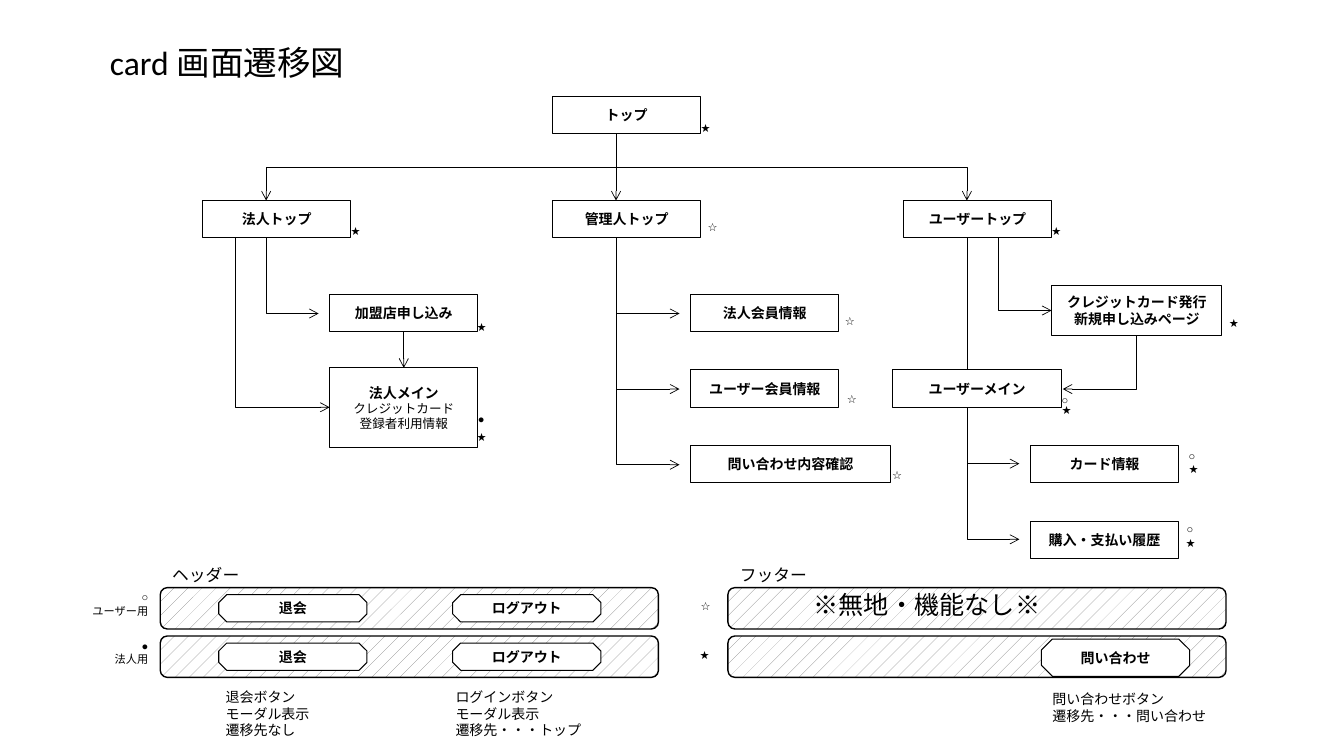
from dataclasses import dataclass

from lxml import etree
from pptx import Presentation
from pptx.dml.color import RGBColor
from pptx.enum.dml import MSO_PATTERN
from pptx.enum.shapes import MSO_CONNECTOR, MSO_SHAPE
from pptx.enum.text import MSO_ANCHOR, MSO_AUTO_SIZE, PP_ALIGN
from pptx.oxml.ns import qn
from pptx.util import Inches, Pt

RECTANGLE, OCTAGON, ROUNDED = MSO_SHAPE.RECTANGLE, MSO_SHAPE.OCTAGON, MSO_SHAPE.ROUNDED_RECTANGLE
STRAIGHT, ELBOW = MSO_CONNECTOR.STRAIGHT, MSO_CONNECTOR.ELBOW
LEFT, CENTER, RIGHT = PP_ALIGN.LEFT, PP_ALIGN.CENTER, PP_ALIGN.RIGHT
MIDDLE, TOP = MSO_ANCHOR.MIDDLE, MSO_ANCHOR.TOP
NO_AUTO_SIZE, GROW = MSO_AUTO_SIZE.NONE, MSO_AUTO_SIZE.SHAPE_TO_FIT_TEXT
DOTTED = MSO_PATTERN.PERCENT_5


@dataclass(frozen=True)
class Theme:
    """Colours, fonts, type sizes and line widths of the slide."""
    ink: RGBColor = RGBColor(0, 0, 0)
    paper: RGBColor = RGBColor(255, 255, 255)
    hatch: RGBColor = RGBColor(128, 128, 128)
    body_font: str = "Arial"
    title_font: str = "Calibri"
    notice_font: str = "Noto Sans CJK JP"
    title: float = 24
    notice: float = 18
    heading: float = 12
    label: float = 10
    detail: float = 9
    mark: float = 8
    box_line: float = 0.75
    bar_line: float = 1
    arrow_line: float = 0.5


THEME = Theme()
NODE_WIDTH, NODE_HEIGHT = 1.47, 0.37
ROW_STEP = 0.75
TRUNK = 0.63
BAR_WIDTH, BAR_HEIGHT, BAR_STEP = 4.94, 0.41, 0.48


def assign(target, values):
    """Set each named value on the target."""
    for name, value in values.items():
        setattr(target, name, value)


def write(frame, lines, size, alignment=LEFT, font=THEME.body_font, bold=False):
    """Fill a text frame with one paragraph per line."""
    for index, line in enumerate(lines):
        paragraph = frame.paragraphs[0] if index == 0 else frame.add_paragraph()
        paragraph.text = line
        paragraph.alignment = alignment
        assign(paragraph.font, {"size": Pt(size), "name": font, "bold": bold})
        paragraph.font.color.rgb = THEME.ink


def add_label(slide, left, top, width, height, lines, size, **style):
    """Add a wrapping text box."""
    shape = slide.shapes.add_textbox(*map(Inches, (left, top, width, height)))
    assign(shape.text_frame, {"word_wrap": True, "auto_size": GROW, "vertical_anchor": TOP})
    write(shape.text_frame, lines, size, **style)


def add_marks(slide, left, top, marks):
    """Add symbols at offsets from the corner of a region."""
    for symbol, across, down in marks:
        add_label(slide, left + across, top + down, 0.42, 0.24, [symbol], THEME.mark)


def add_outline(slide, preset, left, top, width, height, line_width):
    """Add a white shape with a black outline."""
    shape = slide.shapes.add_shape(preset, *map(Inches, (left, top, width, height)))
    shape.shadow.inherit = False
    shape.fill.solid()
    shape.fill.fore_color.rgb = THEME.paper
    shape.line.color.rgb = THEME.ink
    shape.line.width = Pt(line_width)
    return shape


def add_node(slide, left, top, *lines, width=NODE_WIDTH, height=NODE_HEIGHT, preset=RECTANGLE):
    """Add a screen or button box with a bold centred name."""
    shape = add_outline(slide, preset, left, top, width, height, THEME.box_line)
    assign(shape.text_frame, {"word_wrap": False, "vertical_anchor": MIDDLE})
    write(shape.text_frame, lines, THEME.label, CENTER, bold=True)
    return shape


def finish_arrow(connector):
    """Give a connector a thin black line, an open head and no shadow."""
    connector.line.color.rgb = THEME.ink
    connector.line.width = Pt(THEME.arrow_line)
    etree.SubElement(connector.line._get_or_add_ln(), qn("a:tailEnd"), type="arrow", w="med", len="med")
    etree.SubElement(connector._element.spPr, qn("a:effectLst"))


def add_straight(slide, start, end):
    """Add a straight arrow between two points."""
    connector = slide.shapes.add_connector(STRAIGHT, *map(Inches, (*start, *end)))
    finish_arrow(connector)
    return connector


def add_elbow(slide, start, end, preset="bentConnector2"):
    """Add a bent arrow that leaves its start downwards."""
    middle_x, middle_y = (start[0] + end[0]) / 2, (start[1] + end[1]) / 2
    half_x, half_y = (end[0] - start[0]) / 2, (end[1] - start[1]) / 2
    corners = (middle_x - half_y, middle_y + half_x, middle_x + half_y, middle_y - half_x)
    connector = slide.shapes.add_connector(ELBOW, *map(Inches, corners))
    properties = connector._element.spPr
    properties.find(qn("a:xfrm")).set("rot", "5400000")
    properties.find(qn("a:prstGeom")).set("prst", preset)
    finish_arrow(connector)


def add_title(slide, left, top, width, height):
    """Place and format the slide title."""
    title = slide.shapes.title
    assign(title, dict(zip(("left", "top", "width", "height"), map(Inches, (left, top, width, height)))))
    assign(title.text_frame, {"word_wrap": True, "auto_size": NO_AUTO_SIZE, "vertical_anchor": MIDDLE})
    write(title.text_frame, ["card 画面遷移図"], THEME.title, font=THEME.title_font)


def add_entry(slide, left, top, branch_lefts, branch_top):
    """Add the top screen and its arrows to the three branches."""
    add_node(slide, left, top, "トップ")
    start = (left + TRUNK, top + NODE_HEIGHT)
    for branch_left in branch_lefts:
        end = (branch_left + TRUNK, branch_top)
        if branch_left == left:
            add_straight(slide, start, end)
        else:
            add_elbow(slide, start, end, "bentConnector3")
    add_marks(slide, left, top, [("★", 1.37, 0.19)])


def add_corporate_branch(slide, left, top):
    """Add the screens for corporate members."""
    bottom = top + NODE_HEIGHT
    add_node(slide, left, top, "法人トップ")
    add_elbow(slide, (left + TRUNK, bottom), (left + 1.15, top + 1.12))
    add_elbow(slide, (left + 0.32, bottom), (left + 1.26, top + 2.05))
    application = add_node(slide, left + 1.26, top + 0.93, "加盟店申し込み")
    main = add_node(slide, left + 1.26, top + 1.66, "法人メイン", "クレジットカード", "登録者利用情報", height=0.79)
    for paragraph in main.text_frame.paragraphs[1:]:
        assign(paragraph.font, {"size": Pt(THEME.detail), "bold": False})
    arrow = add_straight(slide, (left + 2, top + 1.3), (left + 2, top + 1.66))
    arrow.begin_connect(application, 2)
    arrow.end_connect(main, 0)
    add_marks(slide, left, top, [("★", 1.37, 0.19), ("★", 2.62, 1.14), ("●", 2.63, 2.05), ("★", 2.62, 2.23)])


def add_admin_branch(slide, left, top):
    """Add the screens for administrators."""
    add_node(slide, left, top, "管理人トップ")
    screens = [("法人会員情報", NODE_WIDTH), ("ユーザー会員情報", NODE_WIDTH), ("問い合わせ内容確認", 1.98)]
    for row, (name, width) in enumerate(screens):
        drop = row * ROW_STEP
        add_elbow(slide, (left + TRUNK, top + NODE_HEIGHT), (left + 1.26, top + 1.12 + drop))
        add_node(slide, left + 1.37, top + 0.93 + drop, name, width=width)
    add_marks(slide, left, top, [("☆", 1.44, 0.15), ("☆", 2.8, 1.08), ("☆", 2.82, 1.85), ("☆", 3.27, 2.61)])


def add_user_branch(slide, left, top):
    """Add the screens for card users."""
    bottom = top + NODE_HEIGHT
    add_node(slide, left, top, "ユーザートップ")
    for row, name in enumerate(["カード情報", "購入・支払い履歴"]):
        drop = row * ROW_STEP
        add_elbow(slide, (left + TRUNK, bottom), (left + 1.15, top + 2.61 + drop))
        add_node(slide, left + 1.26, top + 2.43 + drop, name)
    add_elbow(slide, (left + 0.94, bottom), (left + 1.47, top + 1.09))
    add_node(slide, left + 1.47, top + 0.84, "クレジットカード発行", "新規申し込みページ", width=1.69, height=0.5)
    add_node(slide, left - 0.11, top + 1.68, "ユーザーメイン", width=1.68)
    add_elbow(slide, (left + 2.31, top + 1.34), (left + 1.58, top + 1.87))
    add_marks(slide, left, top, [
        ("★", 1.37, 0.19), ("★", 3.13, 1.1), ("○", 1.47, 1.86), ("★", 1.47, 1.96),
        ("○", 2.73, 2.42), ("★", 2.73, 2.55), ("○", 2.71, 3.14), ("★", 2.7, 3.28)])


def add_bars(slide, left, top, heading):
    """Add a heading above two patterned bars."""
    add_label(slide, left + 0.02, top - 0.28, 2, 0.31, [heading], THEME.heading)
    for row in range(2):
        bar = add_outline(slide, ROUNDED, left, top + row * BAR_STEP, BAR_WIDTH, BAR_HEIGHT, THEME.bar_line)
        bar.fill.patterned()
        bar.fill.pattern = DOTTED
        bar.fill.fore_color.rgb = THEME.hatch
        bar.fill.back_color.rgb = THEME.paper


def add_header_legend(slide, left, top):
    """Add the page header of each member type and its button notes."""
    add_bars(slide, left, top, "ヘッダー")
    for row, lines in enumerate([("○", "ユーザー用"), ("●", "法人用")]):
        drop = row * BAR_STEP
        add_label(slide, left - 1.01, top - 0.02 + drop, 0.99, 0.38, lines, THEME.mark, alignment=RIGHT)
        for across, name in [(0.58, "退会"), (2.9, "ログアウト")]:
            add_node(slide, left + across, top + 0.07 + drop, name, height=0.27, preset=OCTAGON)
    notes = [(0.55, ("退会ボタン", "モーダル表示", "遷移先なし")),
             (2.83, ("ログインボタン", "モーダル表示", "遷移先・・・トップ"))]
    for across, lines in notes:
        add_label(slide, left + across, top + 0.95, 1.93, 0.63, lines, THEME.label)


def add_footer_legend(slide, left, top):
    """Add the two page footers and the inquiry button note."""
    add_bars(slide, left, top, "フッター")
    add_marks(slide, left, top, [("☆", -0.37, 0.07), ("★", -0.38, 0.55)])
    add_node(slide, left + 3.11, top + 0.51, "問い合わせ", preset=OCTAGON)
    add_label(slide, left + 0.75, top - 0.03, 3.52, 0.42, ["※無地・機能なし※"], THEME.notice, font=THEME.notice_font)
    add_label(slide, left + 3.12, top + 0.97, 2.41, 0.45, ["問い合わせボタン", "遷移先・・・問い合わせ"], THEME.label)


def main():
    """Build the screen transition slide and save it."""
    presentation = Presentation()
    assign(presentation, {"slide_width": Inches(13.33), "slide_height": Inches(7.5)})
    slide = presentation.slides.add_slide(presentation.slide_layouts[5])
    add_title(slide, 0.99, 0.37, 7.06, 0.5)
    branches = {2.01: add_corporate_branch, 5.48: add_admin_branch, 8.96: add_user_branch}
    add_entry(slide, 5.48, 0.96, branches, 1.99)
    for left, add_branch in branches.items():
        add_branch(slide, left, 1.99)
    add_header_legend(slide, 1.59, 5.83)
    add_footer_legend(slide, 7.22, 5.83)
    presentation.save("out.pptx")


if __name__ == "__main__":
    main()
